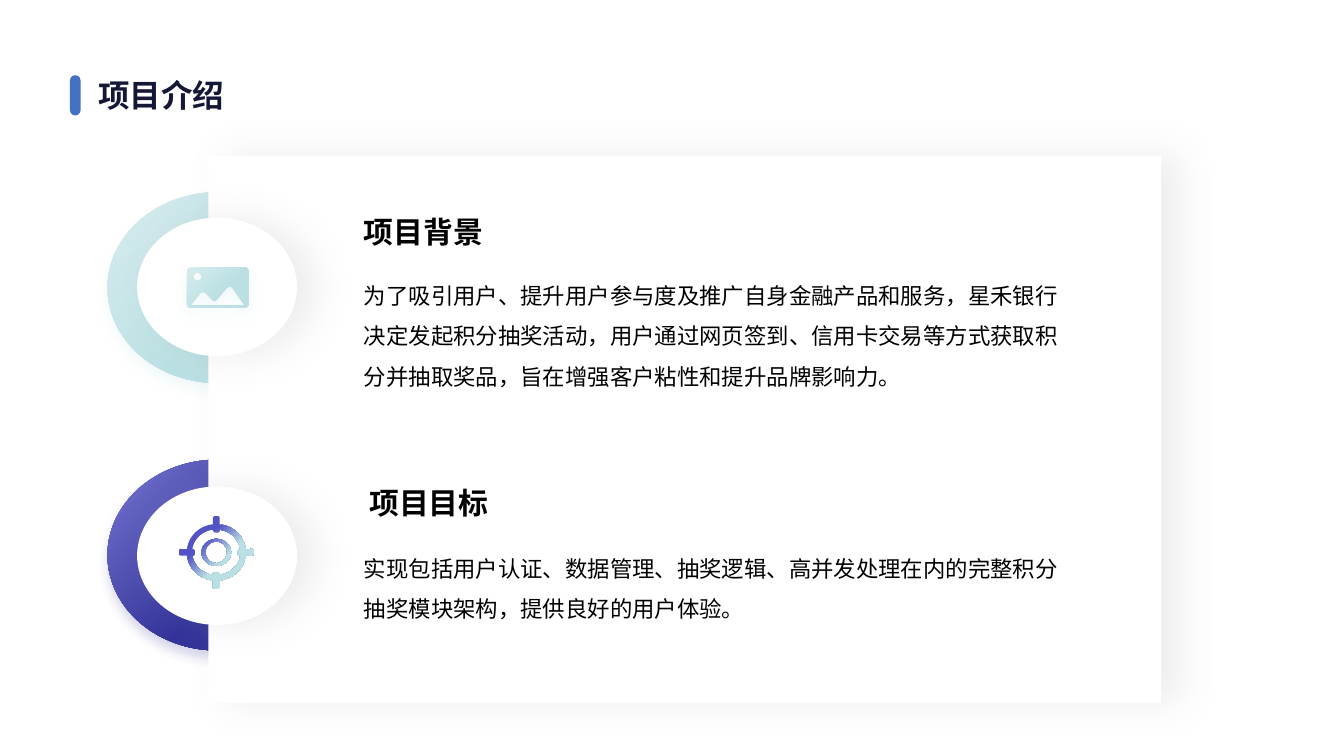
"""Build the project introduction slide with its background and goal sections."""
from dataclasses import dataclass
from math import cos, pi, sin

from lxml.etree import SubElement
from pptx import Presentation
from pptx.dml.color import RGBColor
from pptx.enum.shapes import MSO_SHAPE
from pptx.enum.text import MSO_ANCHOR, PP_ALIGN
from pptx.oxml.ns import qn
from pptx.util import Inches, Pt

FONT = "Noto Sans CJK SC"
BLACK = RGBColor(0x00, 0x00, 0x00)
WHITE = RGBColor(0xFF, 0xFF, 0xFF)
GRAY = RGBColor(0xA6, 0xA6, 0xA6)
NAVY = RGBColor(0x14, 0x17, 0x35)
BLUE = RGBColor(0x43, 0x72, 0xC4)
PALE_TEAL = RGBColor(0xD6, 0xEC, 0xEE)
TEAL = RGBColor(0xBB, 0xE0, 0xE3)
LAVENDER = RGBColor(0x75, 0x75, 0xD1)
VIOLET = RGBColor(0x53, 0x53, 0xC6)
INDIGO = RGBColor(0x33, 0x33, 0x99)

TITLE_FORMAT = {"name": FONT, "size": Pt(16.9), "bold": True}
HEADING_FORMAT = {"name": FONT, "size": Pt(16), "bold": True}
BODY_FORMAT = {"name": FONT, "size": Pt(12), "bold": False}


@dataclass
class Gradient:
    start: RGBColor
    end: RGBColor
    start_position: float = 0
    end_position: float = 0.6


@dataclass
class Shadow:
    color: RGBColor
    blur: float
    distance: float
    direction: int


@dataclass
class Section:
    heading: str
    body: str
    ring_top: float
    disc_top: float
    heading_left: float
    heading_top: float
    body_top: float
    body_height: float
    gradient: Gradient


SOFT_SHADOW = Shadow(GRAY, 20, 10, 0)
TEAL_GRADIENT = Gradient(PALE_TEAL, TEAL)
SECTIONS = [
    Section("项目背景",
            "为了吸引用户、提升用户参与度及推广自身金融产品和服务，星禾银行决定发起积分抽奖活动，"
            "用户通过网页签到、信用卡交易等方式获取积分并抽取奖品，旨在增强客户粘性和提升品牌影响力。",
            1.43, 1.62, 2.61, 1.54, 1.95, 0.97, TEAL_GRADIENT),
    Section("项目目标",
            "实现包括用户认证、数据管理、抽奖逻辑、高并发处理在内的完整积分抽奖模块架构，"
            "提供良好的用户体验。",
            3.42, 3.62, 2.65, 3.56, 3.98, 0.67, Gradient(LAVENDER, INDIGO)),
]


def style_shape(shape, fill: RGBColor | Gradient, shadow: Shadow | None = None) -> None:
    if isinstance(fill, Gradient):
        shape.fill.gradient()
        shape.fill.gradient_angle = 315
        first, last = shape.fill.gradient_stops
        first.color.rgb, first.position = fill.start, fill.start_position
        last.color.rgb, last.position = fill.end, fill.end_position
    else:
        shape.fill.solid()
        shape.fill.fore_color.rgb = fill
    shape.line.fill.background()
    shape.shadow.inherit = False
    if shadow:
        effects = shape.element.spPr.find(qn("a:effectLst"))
        outer = SubElement(effects, qn("a:outerShdw"), blurRad=str(Pt(shadow.blur)),
                           dist=str(Pt(shadow.distance)), dir=str(shadow.direction * 60000),
                           algn="ctr", rotWithShape="0")
        color = SubElement(outer, qn("a:srgbClr"), val=str(shadow.color))
        SubElement(color, qn("a:alpha"), val="20000")


def add_preset(slide, kind, left: float, top: float, width: float, height: float,
               fill: RGBColor | Gradient, shadow: Shadow | None = None):
    shape = slide.shapes.add_shape(kind, Inches(left), Inches(top), Inches(width), Inches(height))
    style_shape(shape, fill, shadow)
    return shape


def write_text(text_frame, text: str, formats: dict, color: RGBColor):
    paragraph = text_frame.paragraphs[0]
    paragraph.alignment = PP_ALIGN.LEFT
    run = paragraph.add_run()
    run.text = text
    for attribute, value in formats.items():
        setattr(run.font, attribute, value)
    run.font.color.rgb = color
    SubElement(run._r.get_or_add_rPr(), qn("a:ea"), typeface=FONT)
    return paragraph


def add_text(slide, left: float, top: float, height: float, text: str, formats: dict):
    box = slide.shapes.add_textbox(Inches(left), Inches(top), Inches(5.46), Inches(height))
    box.text_frame.word_wrap = True
    return write_text(box.text_frame, text, formats, BLACK)


def arc(center_x: float, center_y: float, radius_x: float, radius_y: float,
        start: float = 0, end: float = 2 * pi, steps: int = 48) -> list[tuple]:
    angles = [start + (end - start) * step / steps for step in range(steps + 1)]
    return [(center_x + radius_x * cos(angle), center_y + radius_y * sin(angle))
            for angle in angles]


def rounded_rectangle(left: float, top: float, right: float, bottom: float,
                      radius: float) -> list[tuple]:
    corners = [(right - radius, bottom - radius), (left + radius, bottom - radius),
               (left + radius, top + radius), (right - radius, top + radius)]
    return [point for index, (x, y) in enumerate(corners)
            for point in arc(x, y, radius, radius, index * pi / 2, (index + 1) * pi / 2, 6)]


def ticked_circle(center_x: float, center_y: float, radius_x: float, radius_y: float,
                  tick: float) -> list[tuple]:
    points = []
    half_width, bevel = 0.025, 0.01 if tick > 0 else -0.01
    gap = half_width / radius_x
    for quarter in range(4):
        angle = quarter * pi / 2
        tip = (radius_x if quarter % 2 == 0 else radius_y) + tick
        for along, across in [(tip - bevel, -half_width), (tip, -half_width + 0.01),
                              (tip, half_width - 0.01), (tip - bevel, half_width)]:
            points.append((center_x + along * cos(angle) - across * sin(angle),
                           center_y + along * sin(angle) + across * cos(angle)))
        points += arc(center_x, center_y, radius_x, radius_y,
                      angle + gap, angle + pi / 2 - gap, 16)
    return points


def add_icon(slide, contours: list[list[tuple]], fill: Gradient,
             shadow: Shadow | None = None) -> None:
    outlines = [[(Inches(x), Inches(y)) for x, y in contour] for contour in contours]
    builder = slide.shapes.build_freeform(*outlines[0][0])
    builder.add_line_segments(outlines[0][1:], close=True)
    for outline in outlines[1:]:
        builder.move_to(*outline[0])
        builder.add_line_segments(outline[1:], close=True)
    style_shape(builder.convert_to_shape(), fill, shadow)


def main() -> None:
    presentation = Presentation()
    presentation.slide_width = Inches(10)
    presentation.slide_height = Inches(10 * 9 / 16)
    slide = presentation.slides.add_slide(presentation.slide_layouts[5])

    title = slide.shapes.title
    title.left, title.top = Inches(0.63), Inches(0.44)
    title.width, title.height = Inches(8.74), Inches(0.53)
    title.text_frame.vertical_anchor = MSO_ANCHOR.MIDDLE
    write_text(title.text_frame, "项目介绍", TITLE_FORMAT, NAVY)
    marker = add_preset(slide, MSO_SHAPE.ROUNDED_RECTANGLE, 0.52, 0.56, 0.08, 0.3, BLUE)
    marker.adjustments[0] = 0.5

    for section in SECTIONS:
        add_preset(slide, MSO_SHAPE.OVAL, 0.8, section.ring_top, 1.64, 1.42,
                   section.gradient, Shadow(section.gradient.end, 6, 4, 90))
    add_preset(slide, MSO_SHAPE.RECTANGLE, 1.55, 1.16, 7.09, 4.07, WHITE, SOFT_SHADOW)
    for section in SECTIONS:
        add_preset(slide, MSO_SHAPE.OVAL, 1.02, section.disc_top, 1.19, 1.03, WHITE, SOFT_SHADOW)
        add_text(slide, section.heading_left, section.heading_top, 0.37,
                 section.heading, HEADING_FORMAT)
        body = add_text(slide, 2.61, section.body_top, section.body_height,
                        section.body, BODY_FORMAT)
        body.line_spacing = 1.5

    mountains = [(1.42, 2.27), (1.49, 2.18), (1.51, 2.17), (1.53, 2.18), (1.58, 2.23),
                 (1.6, 2.24), (1.62, 2.22), (1.69, 2.14), (1.71, 2.13), (1.73, 2.14), (1.82, 2.27)]
    add_icon(slide, [rounded_rectangle(1.39, 1.99, 1.85, 2.29, 0.03), mountains,
                     arc(1.47, 2.06, 0.03, 0.03)],
             TEAL_GRADIENT, Shadow(TEAL, 6, 4, 90))
    center = (1.61, 4.11)
    add_icon(slide, [ticked_circle(*center, 0.22, 0.21, 0.06),
                     ticked_circle(*center, 0.18, 0.17, -0.02),
                     arc(*center, 0.11, 0.1), arc(*center, 0.08, 0.08)],
             Gradient(VIOLET, TEAL, 0.34))
    presentation.save("out.pptx")


if __name__ == "__main__":
    main()
